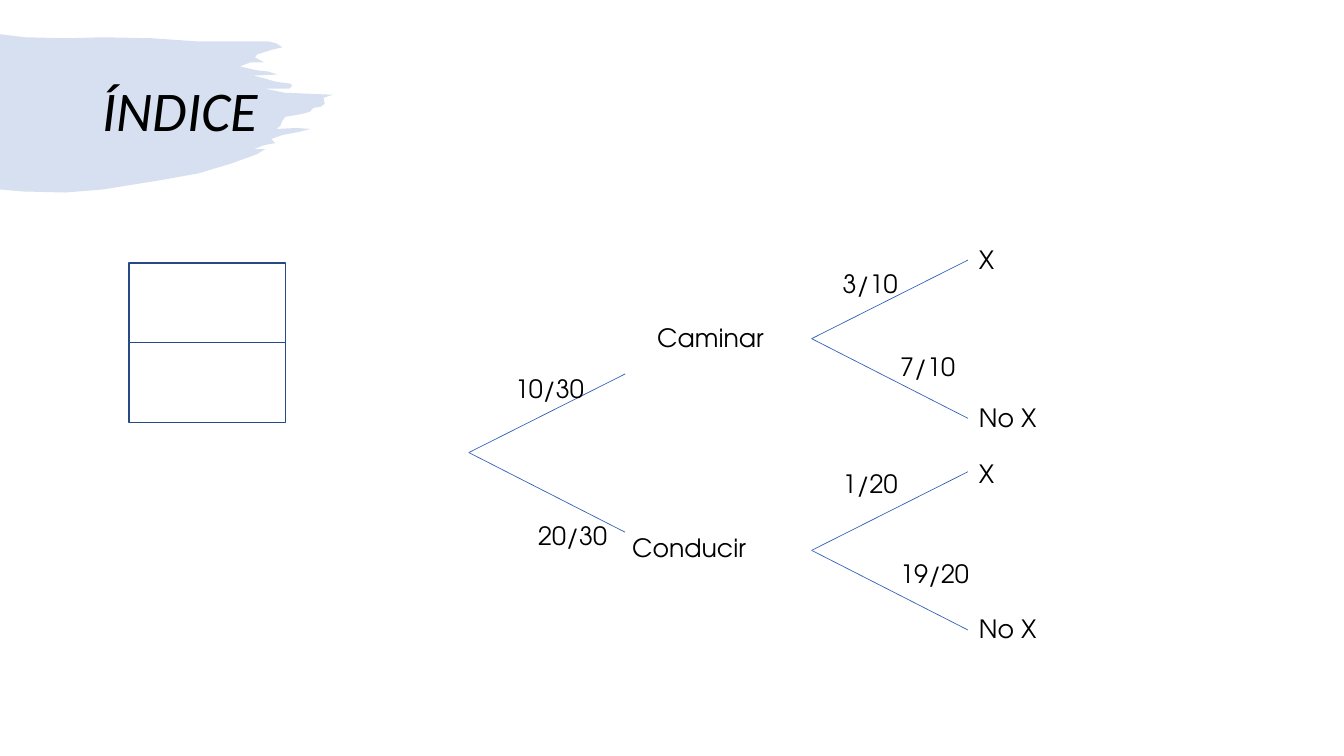
"""Build the index slide: brush-stroke title, two boxes and a probability tree."""
from lxml import etree
from pptx import Presentation
from pptx.dml.color import RGBColor
from pptx.enum import shapes, text
from pptx.oxml import ns
from pptx.util import Inches, Pt

BLUE, DARK_BLUE, BLACK = "3564B7", "274A87", "000000"
TITLE_FONT, TREE_FONT = "Calibri", "TeX Gyre Adventor"


def rgb(value):
    return RGBColor.from_string(value)


def add_text(x, y, w, h, words, size, font):
    tf = s.shapes.add_textbox(Inches(x), Inches(y), Inches(w), Inches(h)).text_frame
    tf.word_wrap = True
    p = tf.paragraphs[0]
    p.text = words
    p.font.size = Pt(size)
    p.font.name = font
    p.font.color.rgb = rgb(BLACK)
    return tf


prs = Presentation()
prs.slide_width, prs.slide_height = Inches(13.33), Inches(7.5)
s = prs.slides.add_slide(prs.slide_layouts[6])

brush_edges = {
    "top": [(0, 34), (25, 37), (66, 38), (102, 37), (151, 38), (194, 41), (248, 41),
            (266, 41), (274, 43), (280, 47)],
    "upper bristles": [(271, 49), (255, 54), (253, 57), (262, 62), (248, 62), (238, 66),
                       (256, 70), (266, 71), (275, 74), (251, 75), (263, 78), (273, 81),
                       (280, 82), (288, 83), (290, 85), (287, 88), (263, 88)],
    "tip": [(282, 92), (330, 94), (321, 97), (322, 103), (318, 106), (311, 107),
            (307, 111), (300, 113)],
    "lower bristles": [(283, 116), (280, 120), (278, 125), (274, 128), (294, 127),
                       (308, 128), (296, 131), (280, 134), (269, 138), (273, 142),
                       (262, 144), (252, 148), (263, 148)],
    "bottom": [(255, 153), (230, 162), (197, 172), (158, 179), (102, 188), (65, 191),
               (23, 190), (0, 188)],
}
outline = [point for edge in brush_edges.values() for point in edge]
builder = s.shapes.build_freeform(*outline[0], scale=Inches(0.01))
builder.add_line_segments(outline[1:], close=True)
brush = builder.convert_to_shape()
brush.shadow.inherit = False
brush.line.fill.background()
brush.fill.solid()
brush.fill.fore_color.rgb = rgb(BLUE)
brush_color = brush.element.spPr.find(ns.qn("a:solidFill")).find(ns.qn("a:srgbClr"))
etree.SubElement(brush_color, ns.qn("a:alpha"), val="20000")

tf = add_text(0.92, 0.4, 11.5, 1.45, "ÍNDICE", 40, TITLE_FONT)
tf.vertical_anchor = text.MSO_ANCHOR.MIDDLE
title = tf.paragraphs[0]
title.font.italic = True
title.line_spacing = 0.9

box_w, box_h = 1.55, 0.79
for row in range(2):
    box = s.shapes.add_shape(shapes.MSO_SHAPE.RECTANGLE, Inches(1.28),
                             Inches(2.61 + row * box_h), Inches(box_w), Inches(box_h))
    box.shadow.inherit = False
    box.fill.background()
    box.line.color.rgb = rgb(DARK_BLUE)
    box.line.width = Pt(1)

branch_run, branch_rises = 1.55, (-0.78, 0.79)
probability_w, outcome_w, label_h = 1, 1.91, 0.4
forks = [
    ((4.65, 4.49), [("10/30", 5.01, 3.65, "Caminar", 6.42, 3.15),
                    ("20/30", 5.24, 5.11, "Conducir", 6.17, 5.23)]),
    ((8.05, 3.36), [("3/10", 8.26, 2.61, "X", 9.61, 2.37),
                    ("7/10", 8.83, 3.44, "No X", 9.61, 3.94)]),
    ((8.05, 5.46), [("1/20", 8.26, 4.6, "X", 9.61, 4.5),
                    ("19/20", 8.83, 5.49, "No X", 9.61, 6.04)]),
]
for (x, y), branches in forks:
    for rise, branch in zip(branch_rises, branches):
        line = s.shapes.add_connector(shapes.MSO_CONNECTOR.STRAIGHT, Inches(x), Inches(y),
                                      Inches(x + branch_run), Inches(y + rise))
        line.line.color.rgb = rgb(BLUE)
        line.line.width = Pt(0.5)
        etree.SubElement(line.element.spPr, ns.qn("a:effectLst"))

        probability, prob_x, prob_y, outcome, out_x, out_y = branch
        add_text(prob_x, prob_y, probability_w, label_h, probability, 18, TREE_FONT)
        add_text(out_x, out_y, outcome_w, label_h, outcome, 18, TREE_FONT)

prs.save("out.pptx")
